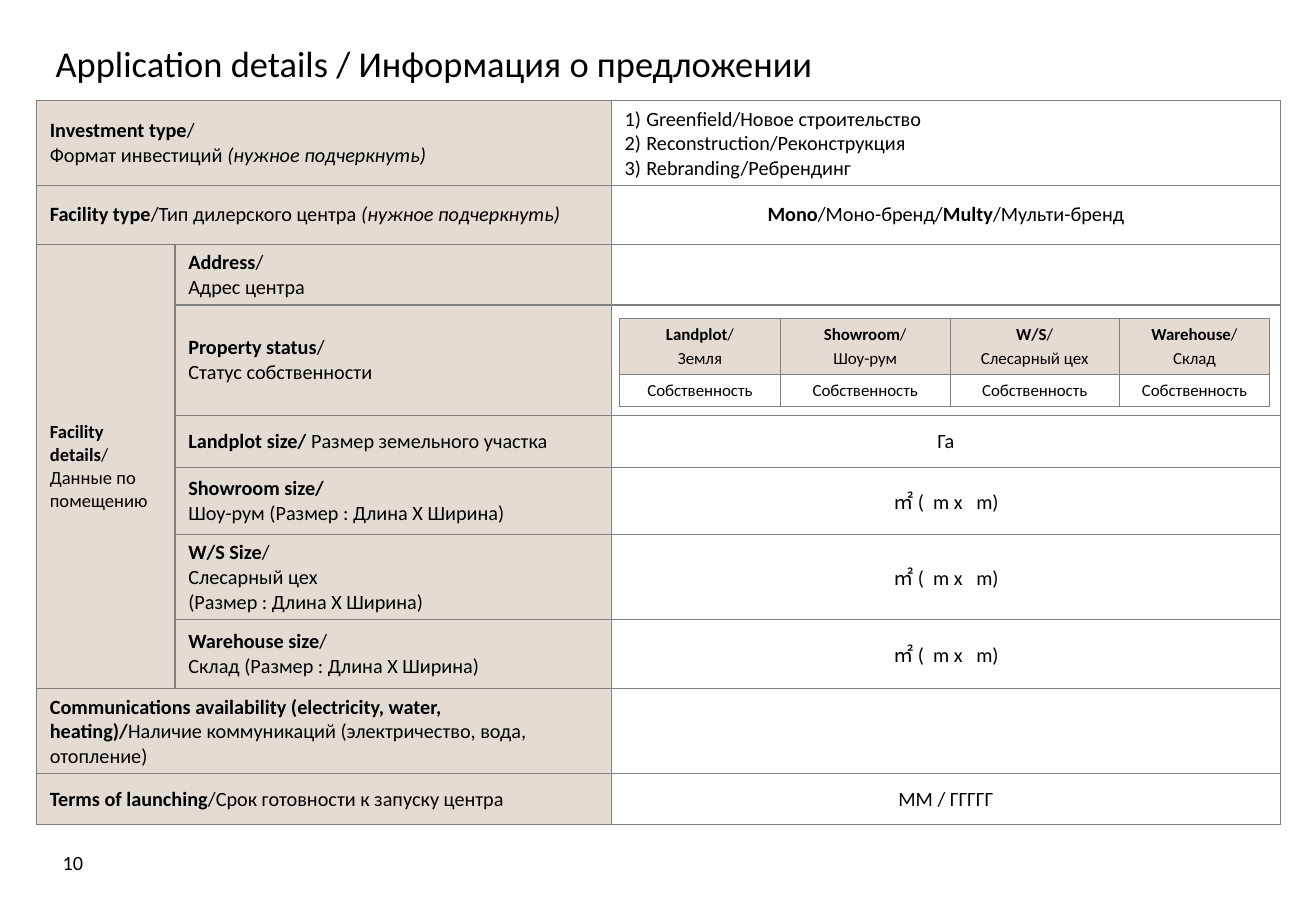
import pptx
import pptx.util
import pptx.dml.color
import pptx.enum.text
import pptx.oxml
from dataclasses import dataclass
from lxml import etree

Inches = pptx.util.Inches
Pt = pptx.util.Pt
ALIGN = pptx.enum.text.PP_ALIGN
MIDDLE = pptx.enum.text.MSO_ANCHOR.MIDDLE
NS = 'xmlns:a="http://schemas.openxmlformats.org/drawingml/2006/main"'


@dataclass(frozen=True)
class Theme:
    font: str = "Calibri"
    ink: str = "000000"
    label: str = "E4DCD3"
    line: str = "808080"
    width: float = 0.75
    title: float = 21.6
    body: float = 12
    side: float = 11
    small: float = 10


THEME = Theme()

# Merged label, value; a label of None marks a blank place in the grid
AREA = "㎡ (  m x   m)"
TYPES = "Greenfield/Новое строительство\nReconstruction/Реконструкция\nRebranding/Ребрендинг"
ROWS = [
    (0.67, "*Investment type*/\nФормат инвестиций _(нужное подчеркнуть)_", TYPES),
    (0.48, "*Facility type*/Тип дилерского центра _(нужное подчеркнуть)_",
     "*Mono*/Моно-бренд/*Multy*/Мульти-бренд"),
    (0.48, "*Address*/\nАдрес центра", ""),
    (0.91, "*Property status*/\nСтатус собственности", ""),
    (0.43, "*Landplot size/ *Размер земельного участка", "Га"),
    (0.55, "*Showroom size/*\nШоу-рум (Размер : Длина Х Ширина)", AREA),
    (0.67, "*W/S Size*/\nСлесарный цех\v(Размер : Длина Х Ширина)", AREA),
    (0.57, "*Warehouse size*/\nСклад (Размер : Длина Х Ширина)", AREA),
    (0.67, "*Communications availability (electricity, water, heating)/*"
     "Наличие коммуникаций (электричество, вода, отопление)", ""),
    (0.42, "*Terms of launching*/Срок готовности к запуску центра", "ММ / ГГГГГ"),
]
FIRST, LAST = 2, 7  # rows of the facility group
GROUP = "*Facility details*/\nДанные по помещению"
PARTS = ["*Landplot*/\nЗемля", "*Showroom*/\nШоу-рум",
         "*W/S*/\nСлесарный цех", "*Warehouse*/\nСклад"]
STATUS = "Собственность"


def color(code):
    return pptx.dml.color.RGBColor.from_string(code)


def add_run(para, text, size, bold, italic):
    """Add one run; a vertical tab in the text makes a line break."""
    for i, piece in enumerate(text.split("\v")):
        if i:
            para.add_line_break()
        run = para.add_run()
        run.text = piece
        font = run.font
        font.name, font.size = THEME.font, Pt(size)
        font.bold, font.italic = bold, italic
        font.color.rgb = color(THEME.ink)


def number(para):
    """Turn a paragraph into an item of a numbered list."""
    props = para._p.get_or_add_pPr()
    props.set("marL", str(Inches(0.18)))
    props.set("indent", str(-Inches(0.18)))
    props.append(pptx.oxml.parse_xml(f'<a:buFont {NS} typeface="{THEME.font}"/>'))
    props.append(pptx.oxml.parse_xml(f'<a:buAutoNum {NS} type="arabicParenR"/>'))


def write(frame, text, size=THEME.body, align=ALIGN.LEFT, gap=0, listed=False):
    """Fill a frame: *bold*, _italic_, one paragraph a line."""
    frame.word_wrap = True
    for i, line in enumerate(text.split("\n")):
        para = frame.add_paragraph() if i else frame.paragraphs[0]
        para.alignment = align
        if i and gap:
            para.space_before = Pt(gap)
        if listed:
            number(para)
        for j, part in enumerate(line.split("*")):
            for k, piece in enumerate(part.split("_")):
                if piece:
                    add_run(para, piece, size, j % 2 == 1, k % 2 == 1)


def add_text(slide, box, text, **form):
    frame = slide.shapes.add_textbox(*map(Inches, box)).text_frame
    frame.vertical_anchor = MIDDLE
    write(frame, text, **form)


def style(cell, fill=None, side=0.11):
    """Set the borders, fill and margins of a cell."""
    props = cell._tc.get_or_add_tcPr()
    for edge in ("lnL", "lnR", "lnT", "lnB"):
        line = etree.SubElement(props, f"{{{props.nsmap['a']}}}{edge}", w=str(Pt(THEME.width)))
        line.append(pptx.oxml.parse_xml(
            f'<a:solidFill {NS}><a:srgbClr val="{THEME.line}"/></a:solidFill>'))
    if fill:
        cell.fill.solid()
        cell.fill.fore_color.rgb = color(fill)
    else:
        cell.fill.background()
    cell.vertical_anchor = MIDDLE
    cell.margin_left = cell.margin_right = Inches(side)
    cell.margin_top = cell.margin_bottom = Inches(0.05)


def add_grid(slide, left, top, cols, rows):
    shape = slide.shapes.add_table(len(rows), len(cols), Inches(left), Inches(top),
                                   Inches(sum(cols)), Inches(sum(rows)))
    table = shape.table
    table.first_row = table.horz_banding = False
    for col, width in zip(table.columns, cols):
        col.width = Inches(width)
    for row, height in zip(table.rows, rows):
        row.height = Inches(height)
    return table


def add_form(slide):
    table = add_grid(slide, 0.3, 0.83, [1.14, 3.59, 5.51], [row[0] for row in ROWS])
    for r, (_, label, value) in enumerate(ROWS):
        left, mid, right = (table.cell(r, c) for c in range(3))
        style(left, THEME.label)
        style(mid, THEME.label)
        style(right)
        inner = FIRST <= r <= LAST
        if not inner:
            left.merge(mid)
        write((mid if inner else left).text_frame, label)
        if value:
            listed = value == TYPES
            write(right.text_frame, value, listed=listed,
                  align=ALIGN.LEFT if listed else ALIGN.CENTER)
    group = table.cell(FIRST, 0)
    group.merge(table.cell(LAST, 0))
    write(group.text_frame, GROUP, size=THEME.side)


def add_status(slide):
    table = add_grid(slide, 5.1, 2.62, [1.32, 1.4, 1.39, 1.24], [0.45, 0.26])
    for c, part in enumerate(PARTS):
        head, state = table.cell(0, c), table.cell(1, c)
        style(head, THEME.label, side=0.04)
        style(state)
        for cell, text in ((head, part), (state, STATUS)):
            write(cell.text_frame, text, size=THEME.small, align=ALIGN.CENTER, gap=2)


def main():
    deck = pptx.Presentation()
    deck.slide_width, deck.slide_height = Inches(10.83), Inches(7.5)
    slide = deck.slides.add_slide(deck.slide_layouts[6])

    # Title and page number
    add_text(slide, (0.36, 0.29, 10.01, 0.46),
             "Application details / Информация о предложении", size=THEME.title)
    add_text(slide, (0.3, 6.9, 0.6, 0.4), "10", align=ALIGN.CENTER)

    # Form, with the property table on top of it
    add_form(slide)
    add_status(slide)
    deck.save("out.pptx")


main()
